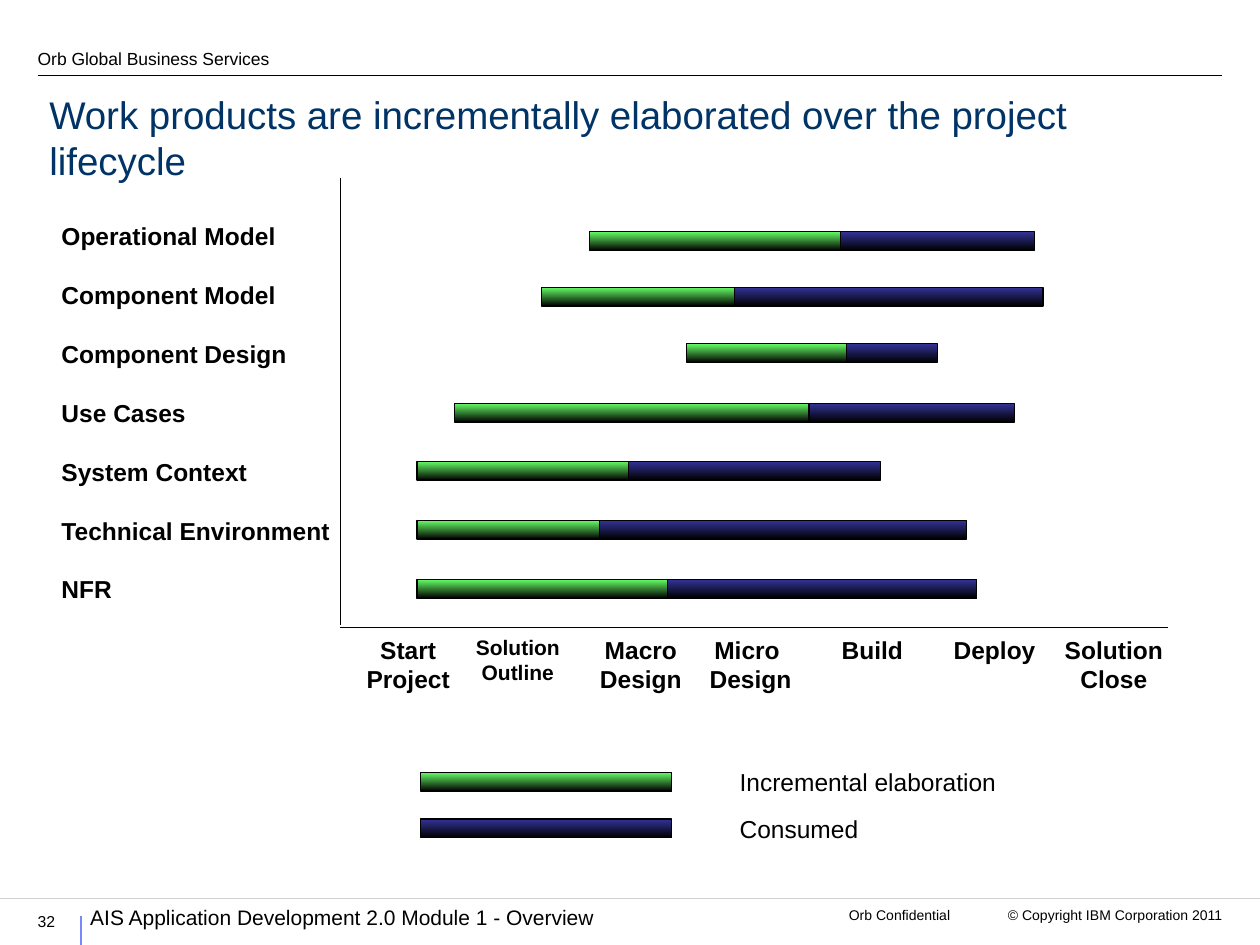
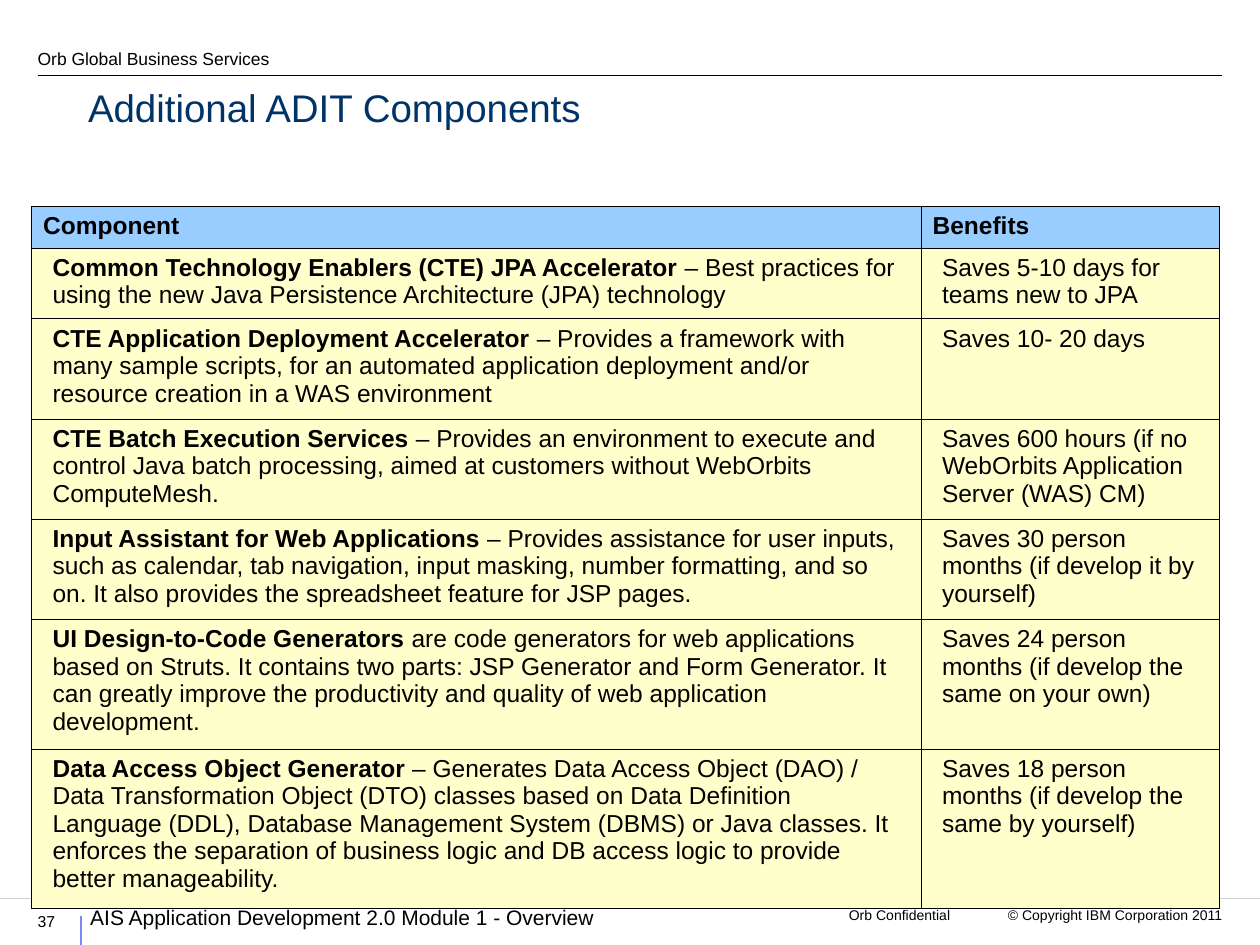
from lxml.etree import SubElement
from pptx import Presentation
from pptx.dml.color import RGBColor
from pptx.enum.shapes import MSO_CONNECTOR, MSO_SHAPE
from pptx.enum.text import MSO_ANCHOR, MSO_AUTO_SIZE, PP_ALIGN
from pptx.oxml import parse_xml
from pptx.oxml.ns import nsdecls, qn
from pptx.util import Cm, Pt

FONT = "Arial"
BLACK, NAVY, PERIWINKLE, SILVER = "000000", "003366", "7889FB", "D0D0D0"
GREEN, INDIGO = "66FF66", "333399"
HEADER_FILL, BODY_FILL = "99CCFF", "FFFFCC"


def color(hex_text):
    return RGBColor.from_string(hex_text)


def add_text(page, text, left, top, width, height, size, bold=False,
             align=PP_ALIGN.LEFT, spacing=1.0, gap=0, wrap=False):
    box = page.shapes.add_textbox(Cm(left), Cm(top), Cm(width), Cm(height))
    box.text_frame.word_wrap = wrap
    if not wrap:
        box.text_frame.auto_size = MSO_AUTO_SIZE.SHAPE_TO_FIT_TEXT
    box.text_frame.text = text
    for index, para in enumerate(box.text_frame.paragraphs):
        para.alignment = align
        para.line_spacing = spacing
        if index and gap:
            para.space_before = Pt(gap)
        para.font.name = FONT
        para.font.size = Pt(size)
        para.font.bold = bold
        para.font.color.rgb = color(BLACK)


deck = Presentation()
deck.slide_width, deck.slide_height = Cm(25.4), Cm(19.05)

# Shared frame: title, header, footer, page number, rules
frame_lines = [
    (0.76, 1.52, 24.64, 1.52, BLACK, 0.75),
    (1.63, 18.47, 1.63, 19.05, PERIWINKLE, 1.5),
    (0, 18.11, 25.4, 18.11, SILVER, 0.25),
]
axis_lines = [
    (6.86, 3.58, 6.86, 12.6, BLACK, 0.75),
    (6.86, 12.65, 23.55, 12.65, BLACK, 0.75),
]
page_plans = [
    ("Work products are incrementally elaborated over the project lifecycle",
     "32", (0.74, 1.68, 22.86, 2.16), frame_lines + axis_lines),
    ("Additional ADIT Components",
     "37", (1.52, 1.85, 21.29, 0.61), frame_lines),
]
pages = []
for title_text, number, title_place, lines in page_plans:
    page = deck.slides.add_slide(deck.slide_layouts[5])
    pages.append(page)

    title = page.shapes.title
    title.left, title.top, title.width, title.height = map(Cm, title_place)
    title.text_frame.text = title_text
    title.text_frame.word_wrap = True
    title.text_frame.auto_size = MSO_AUTO_SIZE.NONE
    title.text_frame.vertical_anchor = MSO_ANCHOR.MIDDLE
    para = title.text_frame.paragraphs[0]
    para.alignment = PP_ALIGN.LEFT
    para.font.name = FONT
    para.font.size = Pt(22)
    para.font.color.rgb = color(NAVY)

    for x1, y1, x2, y2, line_color, weight in lines:
        rule = page.shapes.add_connector(
            MSO_CONNECTOR.STRAIGHT, Cm(x1), Cm(y1), Cm(x2), Cm(y2))
        rule.line.color.rgb = color(line_color)
        rule.line.width = Pt(weight)
        SubElement(rule._element.spPr, qn("a:effectLst"))

    add_text(page, "Orb Global Business Services",
             0.51, 0.89, 5.21, 0.64, 10, spacing=0.9)
    add_text(page, "AIS Application Development 2.0 Module 1 - Overview",
             1.57, 18.16, 13.72, 0.89, 12, spacing=0.9, wrap=True)
    add_text(page, "© Copyright IBM Corporation 2011",
             20.02, 18.16, 4.88, 0.89, 8, align=PP_ALIGN.RIGHT, wrap=True)
    add_text(page, "Orb Confidential",
             16.51, 18.16, 2.9, 0.89, 8, align=PP_ALIGN.RIGHT, wrap=True)
    add_text(page, number, 0.51, 18.26, 1.02, 0.51, 9, wrap=True)

lifecycle_page, components_page = pages

# Work product names
work_products = ["Operational Model", "Component Model", "Component Design",
                 "Use Cases", "System Context", "Technical Environment", "NFR"]
add_text(lifecycle_page, "\n".join(work_products), 0.99, 4.34, 5.94, 7.98, 14,
         bold=True, gap=16.8)

# Project phases
phases = [
    ("Start\nProject", 7.14, 2.18, 14),
    ("Solution\nOutline", 9.24, 2.4, 12),
    ("Macro\nDesign", 11.84, 2.16, 14),
    ("Micro \nDesign", 14.05, 2.16, 14),
    ("Build", 16.71, 1.75, 14),
    ("Deploy", 18.97, 2.16, 14),
    ("Solution\nClose", 21.21, 2.49, 14),
]
for name, left, width, size in phases:
    add_text(lifecycle_page, name, left, 12.67, width, 1.45, size, bold=True,
             align=PP_ALIGN.CENTER)

# Bars: top, start of elaboration, handover, end of consumption
work_spans = [
    (4.67, 11.89, 16.94, 20.85),
    (5.79, 10.92, 14.81, 21.03),
    (6.93, 13.84, 17.07, 18.9),
    (8.13, 9.17, 16.31, 20.45),
    (9.3, 8.41, 12.67, 17.75),
    (10.49, 8.41, 12.09, 19.48),
    (11.68, 8.41, 13.46, 19.69),
]
bars = []
for top, start, handover, end in work_spans:
    bars += [(top, start, handover, GREEN), (top, handover, end, INDIGO)]

# Legend
for name, top, width, bar_color in [
        ("Incremental elaboration", 15.57, 5.69, GREEN),
        ("Consumed", 16.51, 2.9, INDIGO)]:
    bars.append((top, 8.48, 13.54, bar_color))
    add_text(lifecycle_page, name, 14.66, top - 0.23, width, 0.86, 14)

for top, start, end, bar_color in bars:
    bar = lifecycle_page.shapes.add_shape(
        MSO_SHAPE.RECTANGLE, Cm(start), Cm(top), Cm(end - start), Cm(0.38))
    bar.shadow.inherit = False
    bar.fill.gradient()
    bar.fill.gradient_angle = 270
    for stop, stop_color in zip(bar.fill.gradient_stops, (bar_color, BLACK)):
        stop.color.rgb = color(stop_color)
    bar.line.color.rgb = color(BLACK)
    bar.line.width = Pt(0.75)

# Component table: bold lead, description, benefit, row height
components = [
    ("Component", "", "Benefits", 0.84),
    ("Common Technology Enablers (CTE) JPA Accelerator",
     " – Best practices for using the new Java Persistence Architecture (JPA) "
     "technology",
     "Saves 5-10 days for teams new to JPA", 1.4),
    ("CTE Application Deployment Accelerator",
     " – Provides a framework with many sample scripts, for an automated "
     "application deployment and/or resource creation in a WAS environment",
     "Saves 10- 20 days", 1.95),
    ("CTE Batch Execution Services",
     " – Provides an environment to execute and control Java batch processing, "
     "aimed at customers without WebOrbits ComputeMesh.",
     "Saves 600 hours (if no WebOrbits Application Server (WAS) CM)", 1.95),
    ("Input Assistant for Web Applications",
     " – Provides assistance for user inputs, such as calendar, tab "
     "navigation, input masking, number formatting, and so on. It also "
     "provides the spreadsheet feature for JSP pages.",
     "Saves 30 person months (if develop it by yourself)", 1.95),
    ("UI Design-to-Code Generators",
     " are code generators for web applications based on Struts. It contains "
     "two parts: JSP Generator and Form Generator. It can greatly improve the "
     "productivity and quality of web application development.",
     "Saves 24 person months (if develop the same on your own)", 2.48),
    ("Data Access Object Generator",
     " – Generates Data Access Object (DAO) / Data Transformation Object (DTO) "
     "classes based on Data Definition Language (DDL), Database Management "
     "System (DBMS) or Java classes. It enforces the separation of business "
     "logic and DB access logic to provide better manageability.",
     "Saves 18 person months (if develop the same by yourself)", 3.05),
]
table_height = sum(height for *_, height in components)
table = components_page.shapes.add_table(
    len(components), 2, Cm(0.64), Cm(4.16), Cm(23.95), Cm(table_height)).table
table.first_row = table.horz_banding = False
table.columns[0].width, table.columns[1].width = Cm(17.93), Cm(6.02)

for row_index, (lead, description, benefit, height) in enumerate(components):
    is_header = row_index == 0
    table.rows[row_index].height = Cm(height)
    cell_spans = [[(lead, True), (description, False)], [(benefit, is_header)]]
    for cell, spans in zip(table.rows[row_index].cells, cell_spans):
        cell.margin_left = Cm(0.23 if is_header else 0.42)
        cell.margin_right = Cm(0.4)
        cell.margin_top = cell.margin_bottom = Cm(0.12)
        for side in ("lnL", "lnR", "lnT", "lnB"):
            cell._tc.get_or_add_tcPr().append(parse_xml(
                f'<a:{side} {nsdecls("a")} w="{Pt(0.45)}"><a:solidFill>'
                f'<a:srgbClr val="{BLACK}"/></a:solidFill></a:{side}>'))
        cell.fill.solid()
        cell.fill.fore_color.rgb = color(HEADER_FILL if is_header else BODY_FILL)
        para = cell.text_frame.paragraphs[0]
        para.font.name = FONT
        para.font.size = Pt(14)
        para.font.color.rgb = color(BLACK)
        for text, bold in spans:
            if text:
                span = para.add_run()
                span.text = text
                span.font.bold = bold

deck.save("out.pptx")
